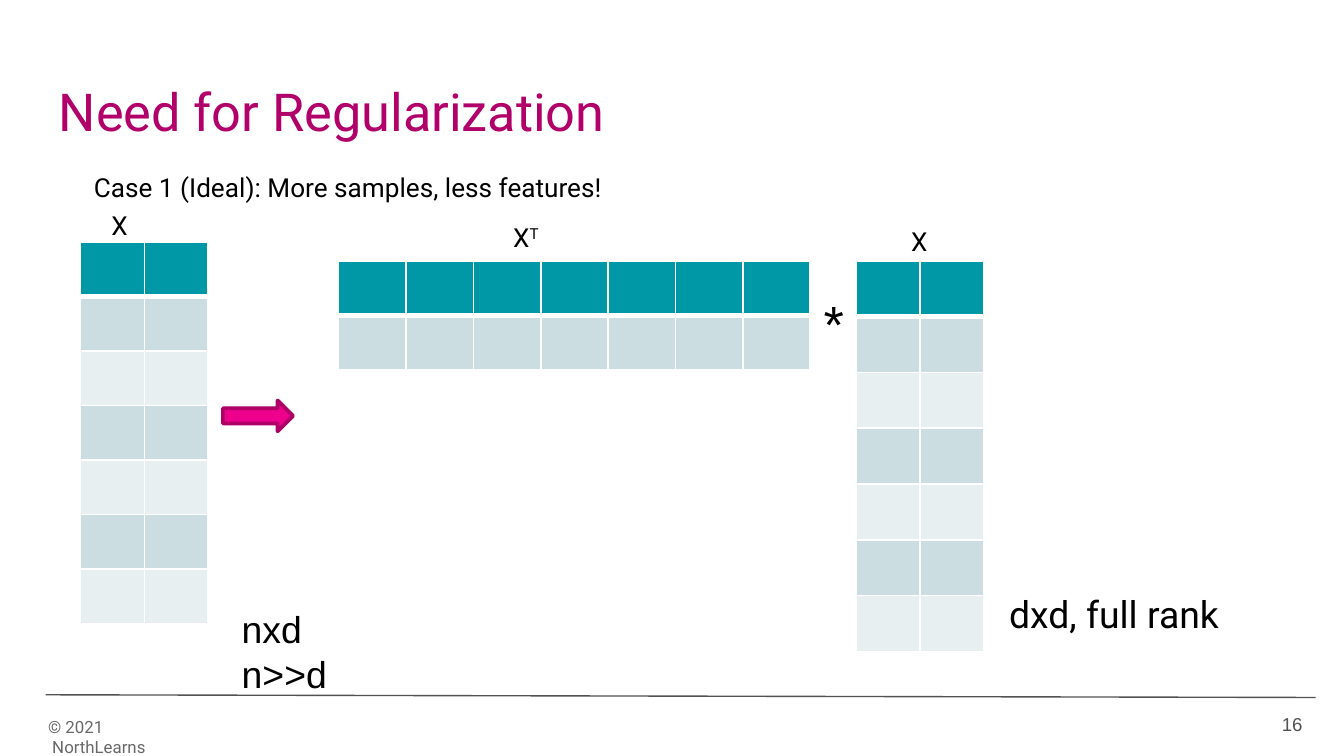
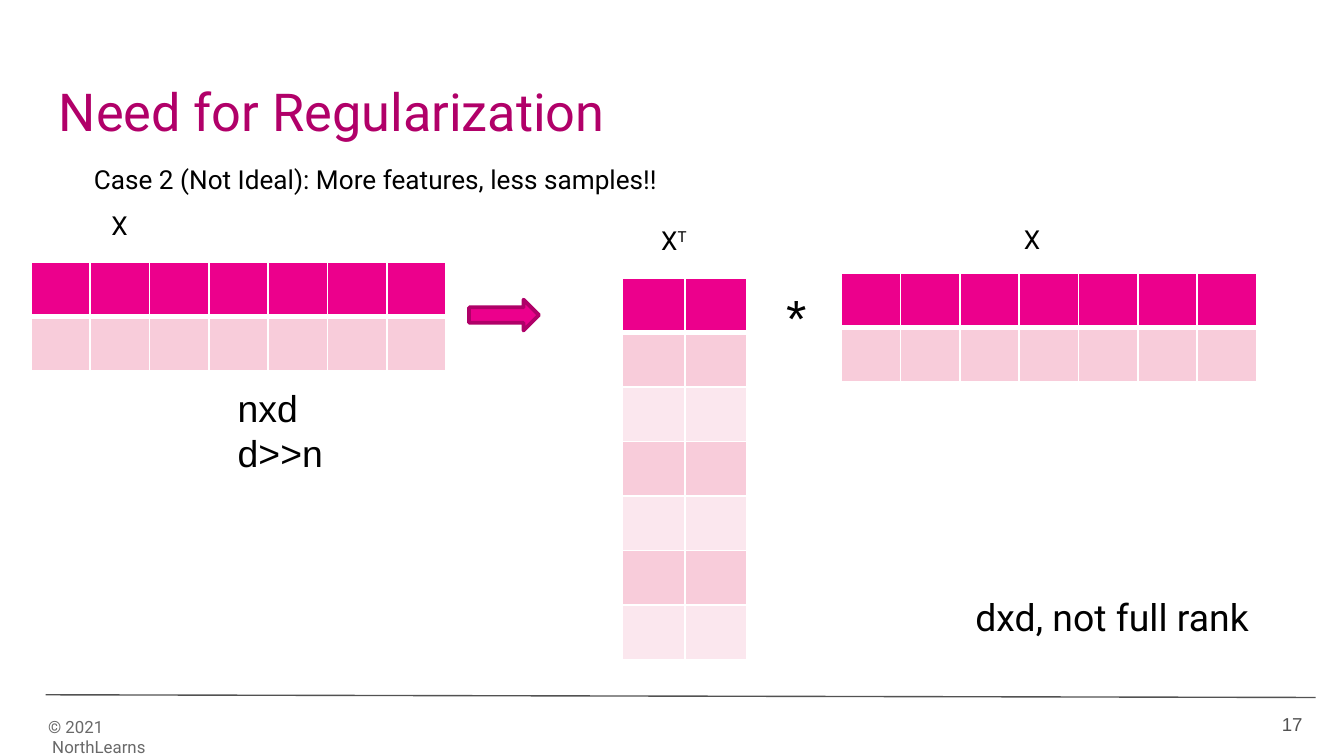
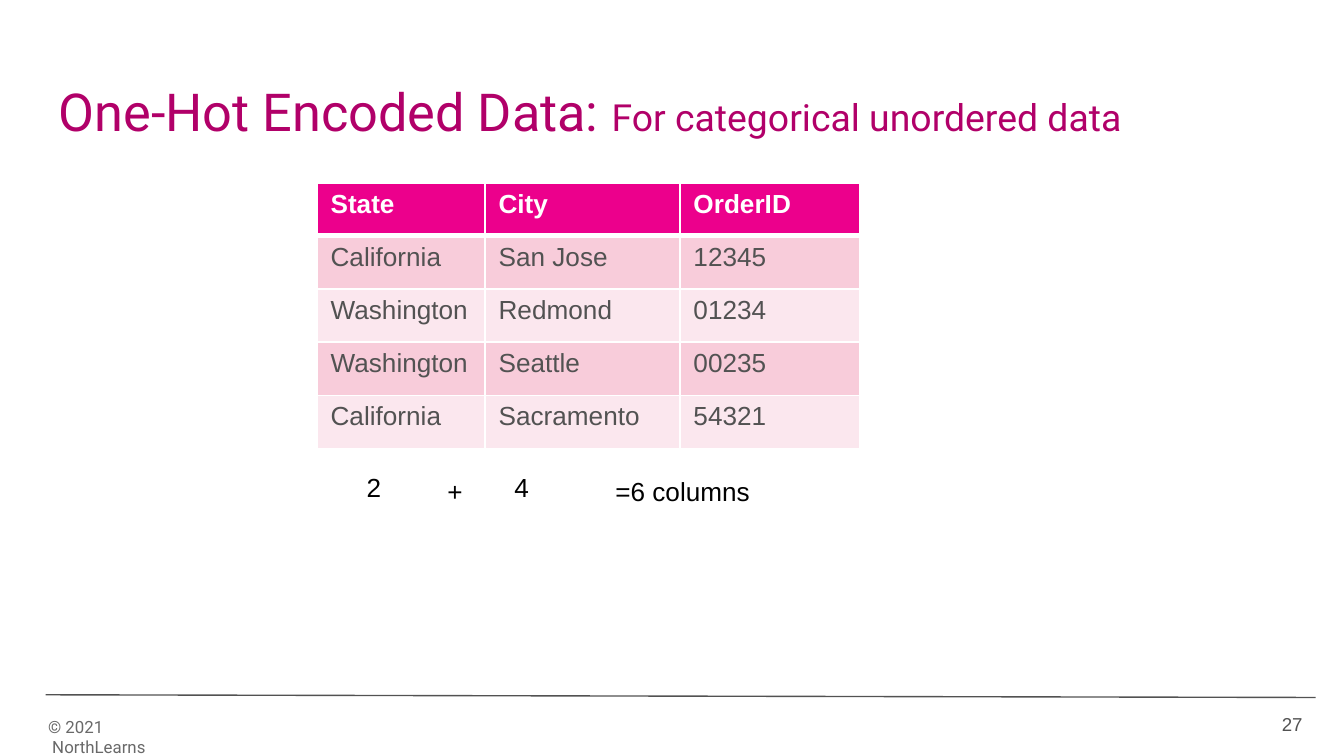
from dataclasses import dataclass

from lxml import etree
from pptx import Presentation
from pptx.dml.color import RGBColor
from pptx.enum.shapes import MSO_CONNECTOR, MSO_SHAPE
from pptx.enum.text import MSO_ANCHOR, MSO_AUTO_SIZE, PP_ALIGN
from pptx.oxml.ns import qn
from pptx.util import Inches, Pt

STRAIGHT = MSO_CONNECTOR.STRAIGHT
RIGHT_ARROW = MSO_SHAPE.RIGHT_ARROW
TOP, MIDDLE = MSO_ANCHOR.TOP, MSO_ANCHOR.MIDDLE
LEFT, RIGHT = PP_ALIGN.LEFT, PP_ALIGN.RIGHT
GROW, FIXED = MSO_AUTO_SIZE.SHAPE_TO_FIT_TEXT, MSO_AUTO_SIZE.NONE


@dataclass(frozen=True)
class Theme:
    heading_font: str = "Roboto"
    body_font: str = "Arial"
    title: str = "B10069"
    ink: str = "000000"
    gray: str = "525252"
    footer: str = "696969"
    white: str = "FFFFFF"
    arrow_fill: str = "EC008C"
    arrow_line: str = "AF0068"
    # Table colours: header, odd rows, even rows
    teal: tuple = ("0097A7", "CCDDE1", "E7EFF1")
    pink: tuple = ("EC008C", "F8CCDA", "FBE7EE")
    title_size: int = 28
    large_size: int = 20
    body_size: int = 14
    page_size: int = 10
    footer_size: int = 9


theme = Theme()


def write_text(frame, text, font=theme.body_font, size=theme.body_size, color=theme.ink,
               bold=False, align=LEFT, anchor=TOP, inset=0.05, fit=GROW,
               tail="", tail_size=None, tail_baseline=None):
    """Fill a text frame, one paragraph a line; the tail is a last run of its own."""
    frame.word_wrap = True
    frame.auto_size = fit
    frame.vertical_anchor = anchor
    frame.margin_top = frame.margin_bottom = Inches(inset)
    for index, line in enumerate(text.split("\n")):
        paragraph = frame.add_paragraph() if index else frame.paragraphs[0]
        paragraph.alignment = align
        paragraph.add_run().text = line
    if tail:
        tail_run = paragraph.add_run()
        tail_run.text = tail
    for paragraph in frame.paragraphs:
        for run in paragraph.runs:
            run.font.name = font
            run.font.size = Pt(size)
            run.font.bold = bold
            run.font.color.rgb = RGBColor.from_string(color)
    if tail_size:
        tail_run.font.size = Pt(tail_size)
    if tail_baseline:
        tail_run._r.get_or_add_rPr().set("baseline", str(tail_baseline))


def add_banded_table(slide, left, top, widths, height, rows, colors):
    """Add a table with a header, two alternating row fills and white rules."""
    frame = slide.shapes.add_table(len(rows), len(widths), Inches(left), Inches(top),
                                   Inches(sum(widths)), Inches(height))
    table = frame.table
    for column, width in zip(table.columns, widths):
        column.width = Inches(width)
    for row_index, row in enumerate(rows):
        table.rows[row_index].height = Inches(height / len(rows))
        is_header = row_index == 0
        fill = colors[0] if is_header else colors[2 - row_index % 2]
        for column_index, text in enumerate(row):
            cell = table.cell(row_index, column_index)
            if text:
                write_text(cell.text_frame, text, bold=is_header, fit=None,
                           color=theme.white if is_header else theme.gray)
            properties = cell._tc.get_or_add_tcPr()
            for side in ("lnL", "lnR", "lnT", "lnB"):
                points = 3 if is_header and side == "lnB" else 1
                border = etree.SubElement(properties, qn(f"a:{side}"), w=str(Pt(points)))
                solid = etree.SubElement(border, qn("a:solidFill"))
                etree.SubElement(solid, qn("a:srgbClr"), val=theme.white)
            cell.fill.solid()
            cell.fill.fore_color.rgb = RGBColor.from_string(fill)


# Text formats
heading = dict(font=theme.heading_font)
transposed = dict(font=theme.heading_font, tail="T", tail_baseline=30000)
star = dict(size=theme.title_size)
dimension = dict(size=theme.large_size)
rank = dict(font=theme.heading_font, size=theme.large_size)
fixed = dict(inset=0.1, fit=FIXED)
title_format = dict(fixed, font=theme.heading_font, size=theme.title_size, color=theme.title)
footer_format = dict(fixed, font=theme.heading_font, size=theme.footer_size, color=theme.footer)
page_format = dict(fixed, size=theme.page_size, color=theme.gray, align=RIGHT, anchor=MIDDLE)

# Matrices: seven samples by two features, and the reverse
tall = [[""] * 2] * 7
wide = [[""] * 7] * 2
orders = [
    ["State", "City", "OrderID"],
    ["California", "San Jose", "12345"],
    ["Washington", "Redmond", "01234"],
    ["Washington", "Seattle", "00235"],
    ["California", "Sacramento", "54321"],
]

# Slide content: labels are (box, text, format), tables are
# (left, top, column widths, height, rows, colours)
slides = [
    dict(
        title="Need for Regularization", title_tail="", page="16", arrow=(1.66, 2.98),
        tables=[
            (0.6, 1.8, [0.95 / 2] * 2, 2.84, tall, theme.teal),
            (6.37, 1.94, [0.95 / 2] * 2, 2.91, tall, theme.teal),
            (2.52, 1.94, [3.51 / 7] * 7, 0.81, wide, theme.teal),
        ],
        labels=[
            ((0.6, 1.23, 4.22, 0.34), "Case 1 (Ideal): More samples, less features!", heading),
            ((0.73, 1.51, 0.55, 0.34), "X", heading),
            ((3.72, 1.6, 0.55, 0.34), "X", transposed),
            ((6.68, 1.63, 0.55, 0.34), "X", heading),
            ((6.03, 2.12, 0.89, 0.57), "*", star),
            ((1.7, 4.46, 1.65, 0.77), "nxd\nn>>d", dimension),
            ((7.41, 4.35, 2.27, 0.44), "dxd, full rank", rank),
        ],
    ),
    dict(
        title="Need for Regularization", title_tail="", page="17", arrow=(3.49, 2.23),
        tables=[
            (0.23, 1.95, [3.09 / 7] * 7, 0.81, wide, theme.pink),
            (4.63, 2.07, [0.93 / 2] * 2, 2.84, tall, theme.pink),
            (6.26, 2.03, [3.09 / 7] * 7, 0.81, wide, theme.pink),
        ],
        labels=[
            ((0.6, 1.17, 5.76, 0.34), "Case 2 (Not Ideal): More features, less samples!!", heading),
            ((0.73, 1.51, 0.55, 0.34), "X", heading),
            ((4.82, 1.62, 0.55, 0.34), "X", transposed),
            ((7.52, 1.61, 0.55, 0.34), "X", heading),
            ((5.75, 2.07, 0.89, 0.57), "*", star),
            ((1.67, 2.82, 1.65, 0.77), "nxd\nd>>n", dimension),
            ((7.16, 4.37, 2.63, 0.44), "dxd, not full rank", rank),
        ],
    ),
    dict(
        title="One-Hot Encoded Data: ", title_tail="For categorical unordered data",
        page="27", arrow=None,
        tables=[(2.36, 1.36, [1.25, 1.45, 1.34], 1.98, orders, theme.pink)],
        labels=[
            ((2.63, 3.46, 0.87, 0.34), "2", {}),
            ((3.73, 3.46, 0.87, 0.34), "4", {}),
            ((3.23, 3.49, 0.33, 0.34), "+", {}),
            ((4.48, 3.49, 1.85, 0.34), "=6 columns", {}),
        ],
    ),
]

# Widescreen, 16 to 9
presentation = Presentation()
presentation.slide_width = Inches(10)
presentation.slide_height = Inches(10 * 9 / 16)
blank_layout = presentation.slide_layouts[6]

for content in slides:
    slide = presentation.slides.add_slide(blank_layout)

    # Footer rule
    rule = slide.shapes.add_connector(STRAIGHT, Inches(0.34), Inches(5.17),
                                      Inches(9.79), Inches(5.19))
    rule.line.color.rgb = RGBColor.from_string(theme.gray)
    rule.line.width = Pt(0.75)
    etree.SubElement(rule._element.spPr, qn("a:effectLst"))

    # Tables
    for table_content in content["tables"]:
        add_banded_table(slide, *table_content)

    # Arrow from the data matrix to the product
    if content["arrow"]:
        left, top = content["arrow"]
        arrow = slide.shapes.add_shape(RIGHT_ARROW, Inches(left), Inches(top),
                                       Inches(0.52), Inches(0.23))
        arrow.shadow.inherit = False
        arrow.fill.solid()
        arrow.fill.fore_color.rgb = RGBColor.from_string(theme.arrow_fill)
        arrow.line.color.rgb = RGBColor.from_string(theme.arrow_line)
        arrow.line.width = Pt(2)

    # Title, footer, page number and labels
    subtitle = dict(tail=content["title_tail"])
    if content["title_tail"]:
        subtitle["tail_size"] = theme.large_size
    shared_texts = [
        ((0.34, 0.49, 9.32, 0.63), content["title"], dict(title_format, **subtitle)),
        ((0.26, 5.23, 2.14, 0.31), "© 2021\n NorthLearns", footer_format),
        ((9.19, 5.17, 0.6, 0.43), content["page"], page_format),
    ]
    for box, text, text_format in shared_texts + content["labels"]:
        text_box = slide.shapes.add_textbox(*(Inches(length) for length in box))
        write_text(text_box.text_frame, text, **text_format)

presentation.save("out.pptx")
